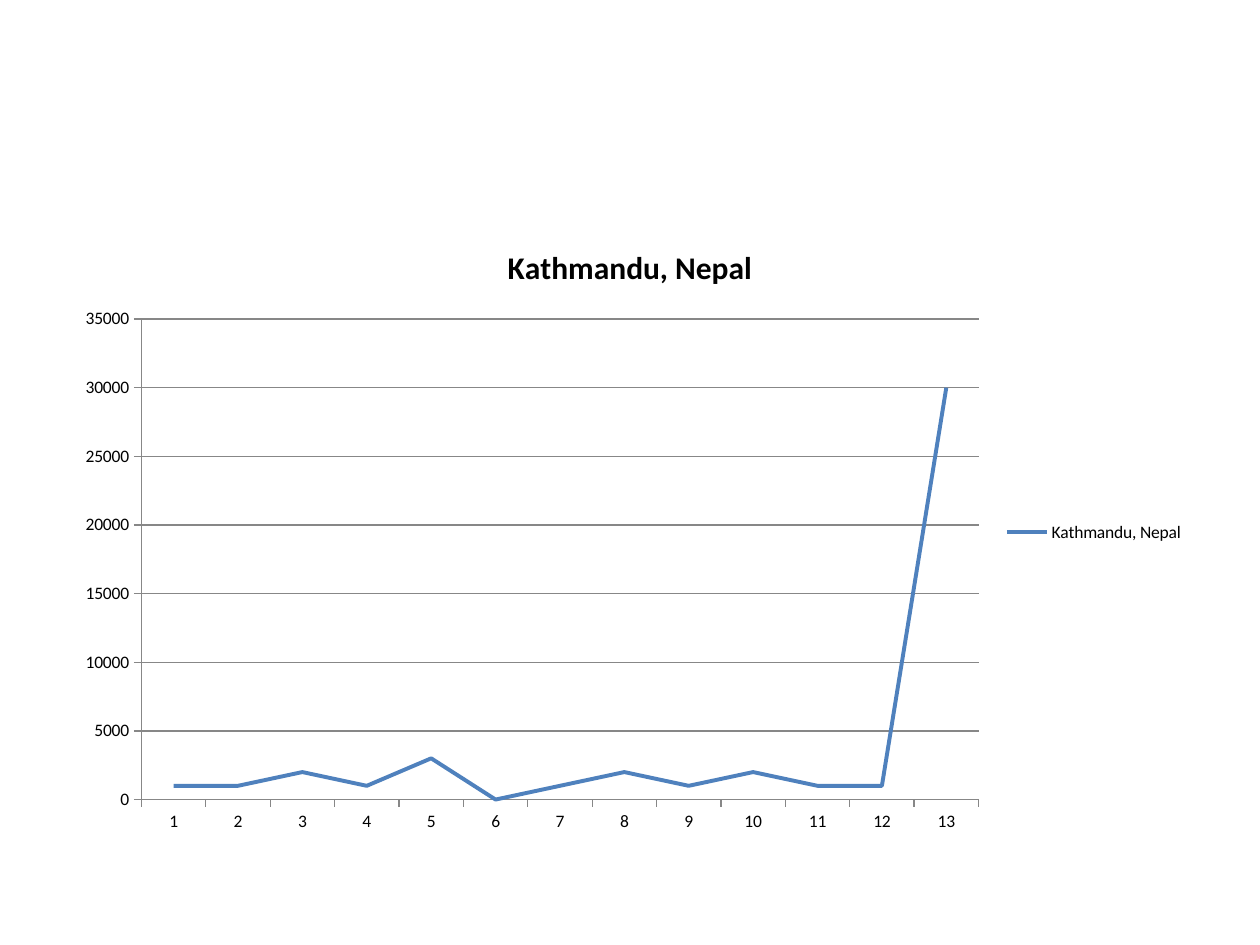
from pptx import Presentation
from pptx.chart.data import CategoryChartData
from pptx.dml.color import RGBColor
from pptx.enum.chart import XL_CHART_TYPE, XL_LEGEND_POSITION, XL_MARKER_STYLE, XL_TICK_MARK
from pptx.util import Pt

LINE = XL_CHART_TYPE.LINE
RIGHT = XL_LEGEND_POSITION.RIGHT
NO_MARKER = XL_MARKER_STYLE.NONE
OUTSIDE = XL_TICK_MARK.OUTSIDE
NO_TICK = XL_TICK_MARK.NONE

CITY = "Kathmandu, Nepal"
CITY_VALUES = [1000, 1000, 2000, 1000, 3000, 0, 1000, 2000, 1000, 2000, 1000, 1000, 30000]


def color(hex_code):
    return RGBColor.from_string(hex_code)


class SlideBuilder:
    font_name = "Calibri"
    text_color = "000000"
    axis_color = "878787"
    series_color = "4F81BD"

    def __init__(self, slide):
        self.slide = slide

    def style_font(self, font, size, bold=False):
        font.name = self.font_name
        font.size = Pt(size)
        font.bold = bold
        font.color.rgb = color(self.text_color)

    def style_line(self, line, hex_code, width):
        line.color.rgb = color(hex_code)
        line.width = Pt(width)

    def style_axis(self, axis):
        axis.major_tick_mark = OUTSIDE
        axis.minor_tick_mark = NO_TICK
        self.style_line(axis.format.line, self.axis_color, 0.75)

    def line_chart(self, name, values, left, top, width, height, maximum, step):
        data = CategoryChartData(number_format="0")
        data.categories = [str(number) for number in range(1, len(values) + 1)]
        data.add_series(name, values)
        chart = self.slide.shapes.add_chart(
            LINE, Pt(left), Pt(top), Pt(width), Pt(height), data
        ).chart
        self.style_font(chart.font, 10)

        chart.has_title = True
        heading = chart.chart_title.text_frame
        heading.text = name
        self.style_font(heading.paragraphs[0].font, 18, bold=True)

        chart.has_legend = True
        chart.legend.position = RIGHT
        chart.legend.include_in_layout = False

        self.style_axis(chart.category_axis)
        value_axis = chart.value_axis
        self.style_axis(value_axis)
        value_axis.minimum_scale = 0
        value_axis.maximum_scale = maximum
        value_axis.major_unit = step
        value_axis.tick_labels.number_format = "0"
        value_axis.tick_labels.number_format_is_linked = False
        value_axis.has_major_gridlines = True
        self.style_line(value_axis.major_gridlines.format.line, self.axis_color, 0.75)

        plot = chart.plots[0]
        plot.vary_by_categories = False
        series = plot.series[0]
        series.smooth = False
        series.marker.style = NO_MARKER
        self.style_line(series.format.line, self.series_color, 2.25)


def main():
    presentation = Presentation()
    presentation.slide_width = Pt(720)
    presentation.slide_height = Pt(540)
    builder = SlideBuilder(presentation.slides.add_slide(presentation.slide_layouts[6]))
    builder.line_chart(CITY, CITY_VALUES, 36, 126, 648, 356.4, 35000, 5000)
    presentation.save("out.pptx")


if __name__ == "__main__":
    main()
